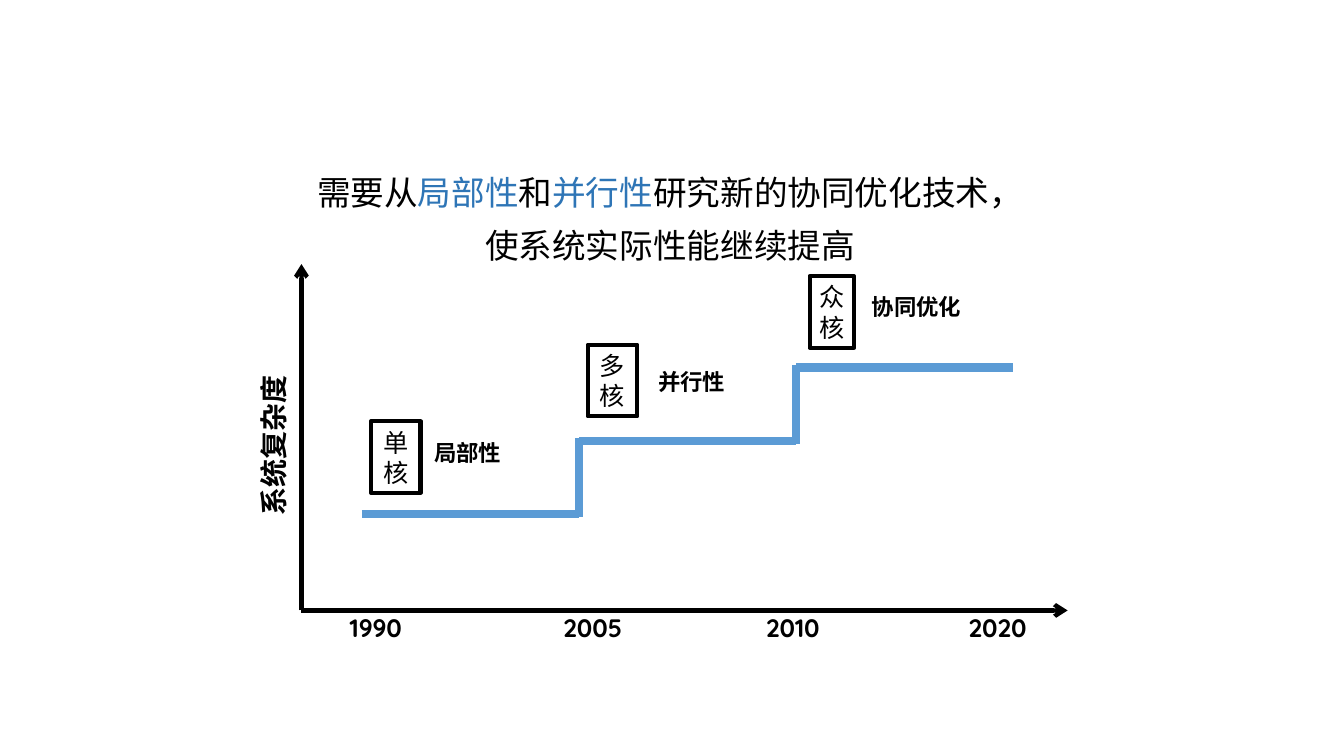
from lxml.etree import SubElement
from pptx import Presentation
from pptx.dml.color import RGBColor
from pptx.enum.shapes import MSO_CONNECTOR, MSO_SHAPE
from pptx.enum.text import MSO_ANCHOR, MSO_AUTO_SIZE, PP_ALIGN
from pptx.oxml.ns import qn
from pptx.util import Inches, Pt

# The grid has 100 columns and 100 rows.
WIDE, HIGH = Inches(13.33), Inches(7.5)
HAN, LATIN = "Noto Sans CJK SC", "Quicksand"
BLACK, BLUE, SKY = "000000", "2E75B6", "5B9BD5"

TITLE = [("需要从", BLACK), ("局部性", BLUE), ("和", BLACK), ("并行性", BLUE),
         ("研究新的协同优化技术,使系统实际性能继续提高".replace(",", "，"), BLACK)]
YEARS = [("1990", 25.28, 5.78), ("2005", 41.18, 6),
         ("2010", 56.26, 5.78), ("2020", 71.34, 6.38)]
# Core, its box, then the label and its place.
CORES = [("单核", (27.61, 55.73, 3.68, 9.47), "局部性", (31.58, 57.47, 12.15, 4.93)),
         ("多核", (43.74, 45.6, 3.68, 9.47), "并行性", (48.24, 48, 11.25, 4.93)),
         ("众核", (60.24, 36.53, 3.3, 9.47), "协同优化", (64.14, 38.13, 11.25, 4.93))]
LEFT, BASE = 26.93, 68
RUN, RISE, LAP = 16.16, 9.68, 0.4
ORIGIN = (22.43, 80.75)


def grid(col, row):
    """Turn columns and rows into slide lengths."""
    return int(WIDE * col / 100), int(HIGH * row / 100)


def color(code):
    """Make a colour from a hex string."""
    return RGBColor.from_string(code)


def write(frame, runs, size, face=HAN, bold=False, align=PP_ALIGN.LEFT):
    """Fill a frame with one paragraph of (text, colour) runs."""
    frame.word_wrap = True
    para = frame.paragraphs[0]
    para.alignment = align
    font = para.font
    font.size, font.bold, font.name = Pt(size), bold, face
    font.color.rgb = color(BLACK)
    for mark in para._p.iter(qn("a:defRPr")):
        SubElement(mark, qn("a:ea"), typeface=face)
    for text, code in runs:
        run = para.add_run()
        run.text = text
        if code != BLACK:
            run.font.color.rgb = color(code)
    return para


def label(slide, text, place, size, **style):
    """Add a bold text box that grows with its text."""
    box = slide.shapes.add_textbox(*grid(*place[:2]), *grid(*place[2:]))
    write(box.text_frame, [(text, BLACK)], size, bold=True, **style)
    box.text_frame.auto_size = MSO_AUTO_SIZE.SHAPE_TO_FIT_TEXT
    return box


def line(slide, start, end, code, width, arrow=False):
    """Draw a straight line, with an arrowhead if asked."""
    link = slide.shapes.add_connector(
        MSO_CONNECTOR.STRAIGHT, *grid(*start), *grid(*end))
    link.line.color.rgb = color(code)
    link.line.width = Pt(width)
    if arrow:
        SubElement(link.line._get_or_add_ln(), qn("a:tailEnd"), type="arrow")
    SubElement(link._element.spPr, qn("a:effectLst"))


def core(slide, text, place):
    """Draw a framed box with one character per line."""
    box = slide.shapes.add_shape(
        MSO_SHAPE.RECTANGLE, *grid(*place[:2]), *grid(*place[2:]))
    box.shadow.inherit = False
    box.fill.background()
    box.line.color.rgb = color(BLACK)
    box.line.width = Pt(3)
    frame = box.text_frame
    frame.margin_left = frame.margin_right = Inches(0.04)
    frame.vertical_anchor = MSO_ANCHOR.MIDDLE
    write(frame, [(text, BLACK)], 18, align=PP_ALIGN.CENTER)
    frame.auto_size = MSO_AUTO_SIZE.SHAPE_TO_FIT_TEXT


def title(slide):
    """Add the two-colour heading."""
    box = slide.shapes.add_textbox(*grid(21.98, 20.53), *grid(55.74, 17.2))
    para = write(box.text_frame, TITLE, 24, align=PP_ALIGN.CENTER)
    para.line_spacing = 1.3
    para.space_before = Pt(12)


def axes(slide):
    """Draw both axes with their labels."""
    line(slide, ORIGIN, (ORIGIN[0], 34.93), BLACK, 3, True)
    line(slide, ORIGIN, (79.44, ORIGIN[1]), BLACK, 3, True)
    name = label(slide, "系统复杂度", (5.85, 56, 29.03, 5.87), 20,
                 align=PP_ALIGN.CENTER)
    name.rotation = 270
    for year, col, span in YEARS:
        label(slide, year, (col, 80.4, span, 5.33), 18, face=LATIN)


def stairs(slide):
    """Draw the rising steps with a core and label on each."""
    for step, (name, box, text, place) in enumerate(CORES):
        col, row = LEFT + step * RUN, BASE - step * RISE
        if step:
            line(slide, (col, row + RISE + LAP), (col, row - LAP), SKY, 6)
        line(slide, (col, row), (col + RUN, row), SKY, 6)
        core(slide, name, box)
        label(slide, text, place, 16)


def main():
    """Build and save the slide."""
    deck = Presentation()
    deck.slide_width, deck.slide_height = WIDE, HIGH
    slide = deck.slides.add_slide(deck.slide_layouts[6])
    title(slide)
    axes(slide)
    stairs(slide)
    deck.save("out.pptx")


main()
